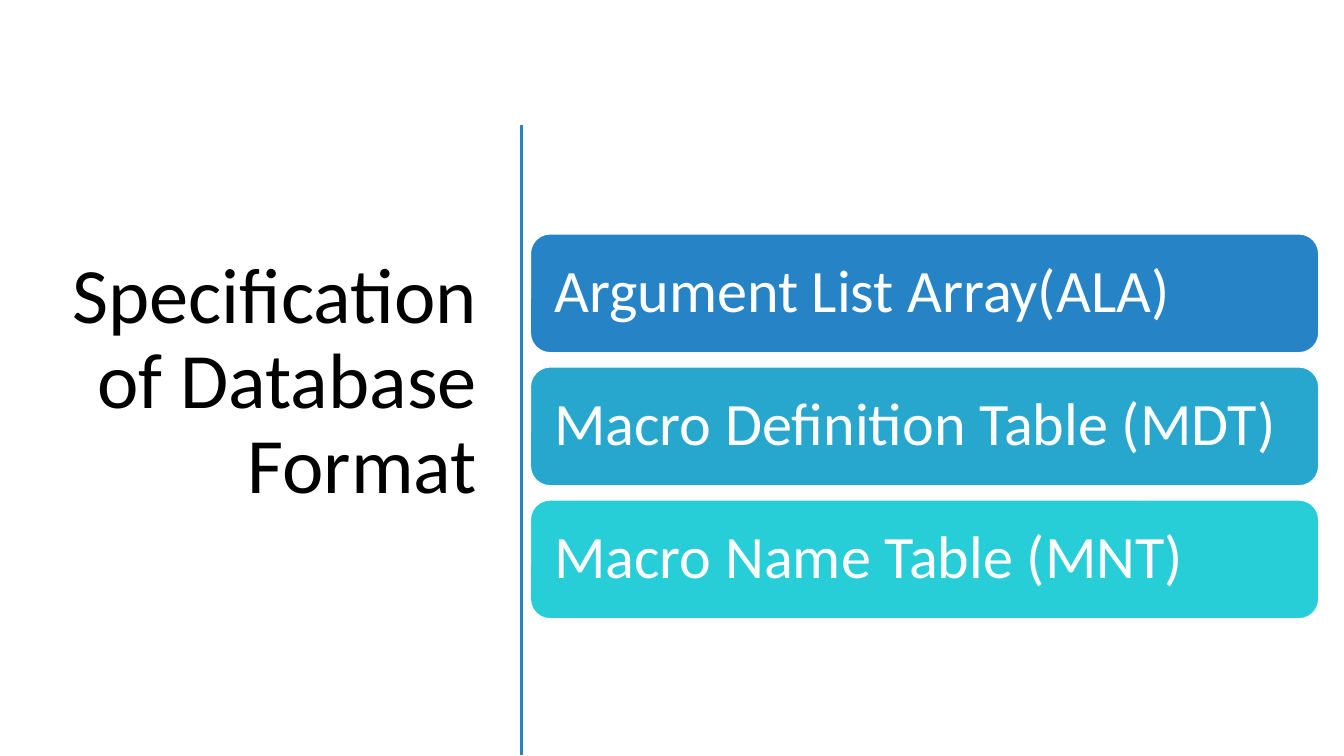
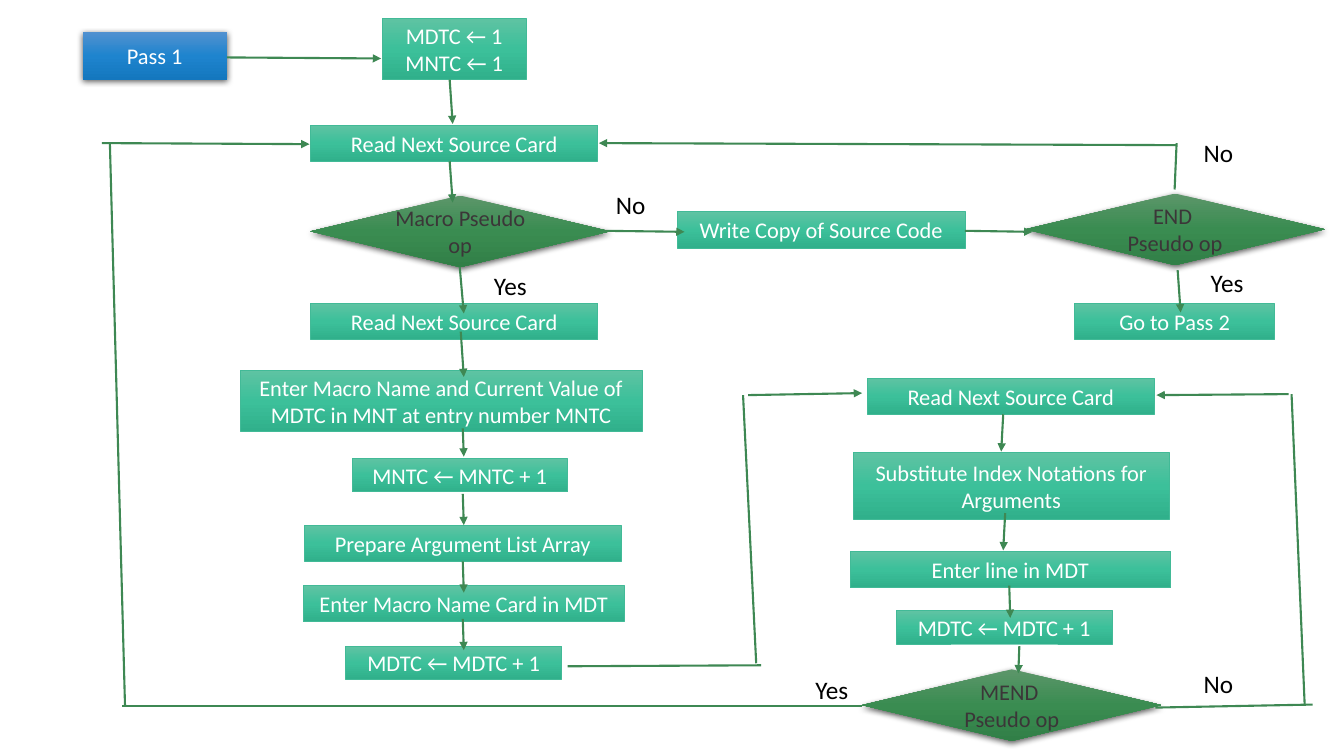
from copy import deepcopy
from dataclasses import dataclass

from lxml.etree import SubElement
from pptx import Presentation
from pptx.dml.color import RGBColor
from pptx.enum.shapes import MSO_CONNECTOR, MSO_SHAPE
from pptx.enum.text import MSO_ANCHOR, PP_ALIGN
from pptx.oxml.ns import qn
from pptx.util import Emu, Pt

EMU_PER_PX = 9144
FONT = "Calibri"
WHITE, BLACK, CHARCOAL = "FFFFFF", "000000", "3B3638"
BLUE, TEAL, GREEN = "2683C6", "42BA97", "3E8853"


@dataclass(frozen=True)
class Area:
    left: int
    top: int
    width: int
    height: int


@dataclass(frozen=True)
class TextStyle:
    size: int
    color: str
    align: PP_ALIGN = PP_ALIGN.LEFT
    anchor: MSO_ANCHOR = MSO_ANCHOR.MIDDLE
    spacing: float = 1.0


@dataclass(frozen=True)
class StepStyle:
    outline: MSO_SHAPE
    gradient: tuple[str, str, str]
    text: TextStyle
    border: str | None = None
    shadow: bool = False


@dataclass(frozen=True)
class Step:
    style: StepStyle
    area: Area
    text: str


@dataclass(frozen=True)
class Link:
    x1: int
    y1: int
    x2: int
    y2: int
    arrow: bool = True


@dataclass(frozen=True)
class Answer:
    text: str
    left: int
    top: int


TITLE_TEXT = TextStyle(56, BLACK, PP_ALIGN.RIGHT, spacing=0.9)
CARD_TEXT = TextStyle(43, WHITE, spacing=0.9)
STEP_TEXT = TextStyle(16, WHITE, PP_ALIGN.CENTER)
DECISION_TEXT = TextStyle(16, CHARCOAL, PP_ALIGN.CENTER)
ANSWER_TEXT = TextStyle(18, BLACK, anchor=MSO_ANCHOR.TOP)

START = StepStyle(MSO_SHAPE.RECTANGLE, ("5191D0", "1E84CE", "1477BE"), STEP_TEXT, shadow=True)
PROCESS = StepStyle(MSO_SHAPE.RECTANGLE, ("5FC3A3", "3CC09A", "30B08B"), STEP_TEXT, TEAL)
DECISION = StepStyle(
    MSO_SHAPE.FLOWCHART_DECISION, ("5C966A", "3A8C51", "317F47"), DECISION_TEXT, shadow=True
)

TABLES = (
    ("Argument List Array(ALA)", BLUE),
    ("Macro Definition Table (MDT)", "27A7CE"),
    ("Macro Name Table (MNT)", "27CED7"),
)
FIRST_CARD = Area(526, 232, 782, 118)
CARD_GAP = 14
CARD_INSET = 18


def read_card(left: int, top: int) -> Step:
    return Step(PROCESS, Area(left, top, 285, 36), "Read Next Source Card")


def counter(left: int, top: int, text: str) -> Step:
    return Step(PROCESS, Area(left, top, 214, 33), text)


def decision(left: int, top: int, text: str) -> Step:
    return Step(DECISION, Area(left, top, 297, 71), text)


STEPS = (
    Step(START, Area(82, 32, 143, 47), "Pass 1"),
    Step(PROCESS, Area(379, 18, 143, 61), "MDTC ← 1\nMNTC ← 1"),
    read_card(308, 124),
    decision(308, 194, "Macro Pseudo op"),
    read_card(308, 301),
    Step(
        PROCESS,
        Area(238, 367, 399, 61),
        "Enter Macro Name and Current Value of MDTC in MNT at entry number MNTC",
    ),
    counter(349, 455, "MNTC ← MNTC + 1"),
    Step(PROCESS, Area(302, 521, 314, 36), "Prepare Argument List Array"),
    Step(PROCESS, Area(301, 581, 318, 36), "Enter Macro Name Card in MDT"),
    counter(343, 641, "MDTC ← MDTC + 1"),
    read_card(860, 375),
    Step(PROCESS, Area(846, 449, 314, 66), "Substitute Index Notations for Arguments"),
    Step(PROCESS, Area(843, 547, 318, 36), "Enter line in MDT"),
    counter(889, 606, "MDTC ← MDTC + 1"),
    decision(855, 664, "MEND \nPseudo op"),
    Step(PROCESS, Area(672, 210, 285, 36), "Write Copy of Source Code"),
    decision(1017, 192, "END \nPseudo op"),
    Step(PROCESS, Area(1066, 301, 198, 36), "Go to Pass 2"),
)

LINKS = (
    Link(225, 57, 378, 58),
    Link(446, 79, 449, 123),
    Link(446, 160, 449, 201),
    Link(456, 265, 460, 311),
    Link(457, 329, 460, 374),
    Link(459, 425, 460, 453),
    Link(459, 490, 460, 521),
    Link(459, 557, 460, 588),
    Link(459, 614, 460, 645),
    Link(563, 661, 755, 660, False),
    Link(750, 658, 737, 392, False),
    Link(742, 392, 855, 390),
    Link(995, 411, 993, 448),
    Link(997, 509, 995, 546),
    Link(1001, 581, 1002, 613),
    Link(1011, 641, 1010, 668),
    Link(1146, 702, 1302, 699, False),
    Link(1294, 699, 1281, 391, False),
    Link(1278, 391, 1147, 392),
    Link(855, 700, 121, 700, False),
    Link(124, 700, 109, 142, False),
    Link(101, 142, 307, 143),
    Link(599, 229, 679, 230),
    Link(957, 229, 1024, 230),
    Link(1168, 268, 1171, 310),
    Link(1165, 188, 1167, 142, False),
    Link(1167, 144, 594, 142),
)

ANSWERS = (
    Answer("Yes", 480, 263),
    Answer("Yes", 799, 664),
    Answer("Yes", 1191, 260),
    Answer("No", 601, 183),
    Answer("No", 1184, 131),
    Answer("No", 1184, 658),
)


def px(length: int) -> Emu:
    return Emu(length * EMU_PER_PX)


def rgb(value: str) -> RGBColor:
    return RGBColor.from_string(value)


def bounds(area: Area) -> tuple[Emu, Emu, Emu, Emu]:
    return px(area.left), px(area.top), px(area.width), px(area.height)


def write(frame, text: str, style: TextStyle) -> None:
    frame.word_wrap = True
    frame.vertical_anchor = style.anchor
    for index, line in enumerate(text.split("\n")):
        paragraph = frame.add_paragraph() if index else frame.paragraphs[0]
        paragraph.alignment = style.align
        paragraph.line_spacing = style.spacing
        run = paragraph.add_run()
        run.text = line
        run.font.name = FONT
        run.font.size = Pt(style.size)
        run.font.color.rgb = rgb(style.color)


def add_label(slide, area: Area, text: str, style: TextStyle) -> None:
    write(slide.shapes.add_textbox(*bounds(area)).text_frame, text, style)


def add_link(slide, link: Link, color: str, weight: float) -> None:
    connector = slide.shapes.add_connector(
        MSO_CONNECTOR.STRAIGHT, px(link.x1), px(link.y1), px(link.x2), px(link.y2)
    )
    connector.line.color.rgb = rgb(color)
    connector.line.width = Pt(weight)
    properties = connector.element.spPr
    if link.arrow:
        SubElement(properties.find(qn("a:ln")), qn("a:tailEnd"), type="triangle")
    SubElement(properties, qn("a:effectLst"))


def add_card(slide, area: Area, text: str, color: str) -> None:
    card = slide.shapes.add_shape(MSO_SHAPE.ROUNDED_RECTANGLE, *bounds(area))
    card.shadow.inherit = False
    card.fill.solid()
    card.fill.fore_color.rgb = rgb(color)
    card.line.color.rgb = rgb(WHITE)
    card.line.width = Pt(1)
    frame = card.text_frame
    frame.margin_left = frame.margin_right = px(CARD_INSET)
    write(frame, text, CARD_TEXT)


def fill_gradient(shape, colors: tuple[str, str, str]) -> None:
    shape.fill.gradient()
    shape.fill.gradient_angle = 270
    stops = shape.element.spPr.find(qn("a:gradFill")).find(qn("a:gsLst"))
    stops.append(deepcopy(stops[0]))
    for index, (stop, color) in enumerate(zip(shape.fill.gradient_stops, colors)):
        stop.position = index / 2
        stop.color.rgb = rgb(color)


def cast_shadow(shape) -> None:
    effects = shape.element.spPr.find(qn("a:effectLst"))
    shadow = SubElement(
        effects,
        qn("a:outerShdw"),
        blurRad=str(Pt(4.5)),
        dist=str(Pt(1.5)),
        dir="5400000",
        algn="ctr",
        rotWithShape="0",
    )
    color = SubElement(shadow, qn("a:srgbClr"), val=BLACK)
    SubElement(color, qn("a:alpha"), val="63000")


def add_step(slide, step: Step) -> None:
    style = step.style
    shape = slide.shapes.add_shape(style.outline, *bounds(step.area))
    shape.shadow.inherit = False
    fill_gradient(shape, style.gradient)
    if style.border:
        shape.line.color.rgb = rgb(style.border)
        shape.line.width = Pt(0.5)
    else:
        shape.line.fill.background()
    if style.shadow:
        cast_shadow(shape)
    write(shape.text_frame, step.text, style.text)


def build_database_slide(slide) -> None:
    add_label(slide, Area(52, 117, 431, 526), "Specification of Database Format", TITLE_TEXT)
    add_link(slide, Link(517, 124, 517, 749, False), BLUE, 2)
    first = FIRST_CARD
    for index, (text, color) in enumerate(TABLES):
        top = first.top + index * (first.height + CARD_GAP)
        add_card(slide, Area(first.left, top, first.width, first.height), text, color)


def build_flowchart_slide(slide) -> None:
    for step in STEPS:
        add_step(slide, step)
    for link in LINKS:
        add_link(slide, link, GREEN, 1.5)
    for answer in ANSWERS:
        add_label(slide, Area(answer.left, answer.top, 66, 40), answer.text, ANSWER_TEXT)


def main() -> None:
    deck = Presentation()
    deck.slide_width, deck.slide_height = px(1333), px(750)
    blank = deck.slide_layouts[6]
    for build in (build_database_slide, build_flowchart_slide):
        build(deck.slides.add_slide(blank))
    deck.save("out.pptx")


if __name__ == "__main__":
    main()
